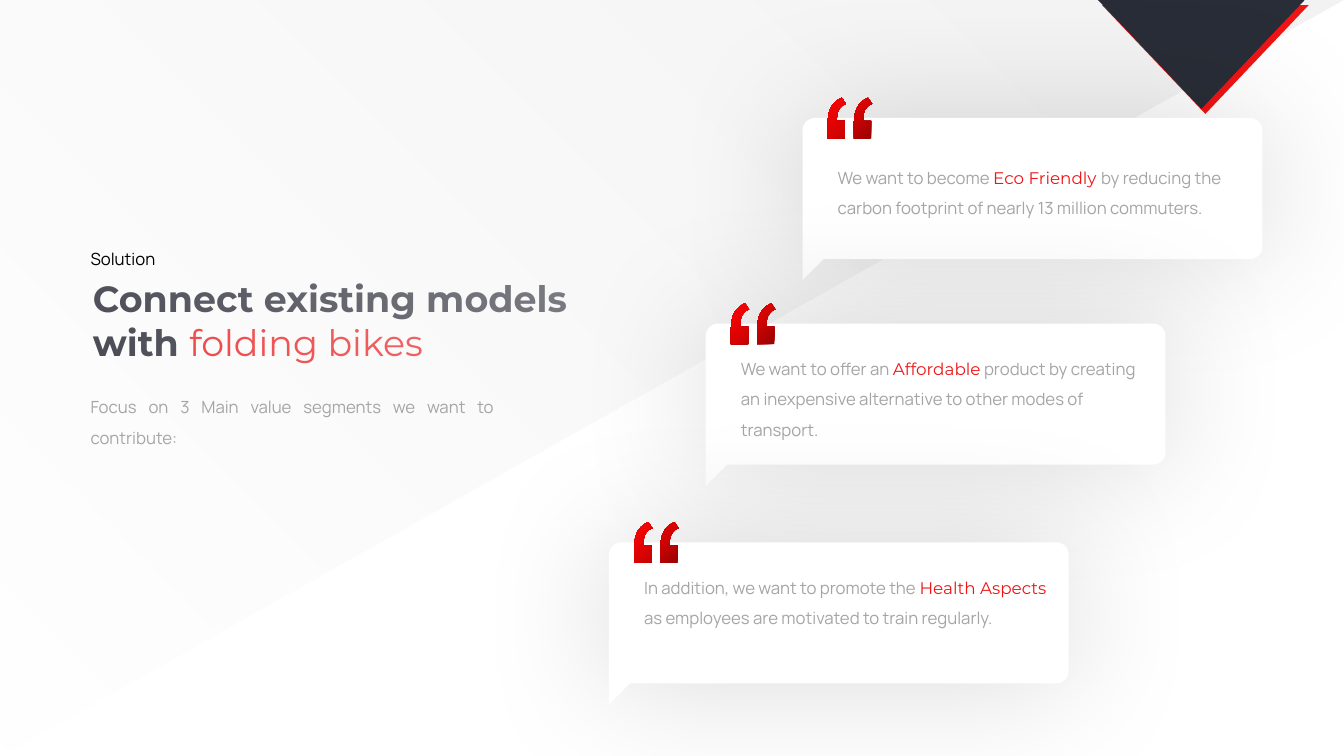
import math

from lxml import etree
from pptx import Presentation
from pptx import util as u
from pptx.dml import color
from pptx.enum import shapes, text
from pptx.oxml import ns

# The page is a grid of 1333 columns by 750 rows.
CELL = u.Inches(0.01)
COLUMNS, ROWS = 1333, 750
RED, NAVY, GREY, WHITE = "F01414", "1F202D", "A5A5A5", "FFFFFF"
BODY_FONT, ACCENT_FONT = "Manrope", "Montserrat"

BUBBLE_WIDTH, BUBBLE_HEIGHT, BUBBLE_STEP = 456, 140, 96
TAIL, CORNER, INSET = 21, 12.5, 25
QUOTE_RISE, QUOTE_GAP = 20, 26
QUOTES = [
    (117, text.MSO_ANCHOR.MIDDLE, "We want to become ", "Eco Friendly ",
     "by reducing the carbon footprint of nearly 13 million commuters."),
    (321, text.MSO_ANCHOR.TOP, "We want to offer an ", "Affordable",
     " product by creating an inexpensive alternative to other modes of transport."),
    (538, text.MSO_ANCHOR.TOP, "In addition, we want to promote the ", "Health Aspects ",
     "as employees are motivated to train regularly."),
]


def rgb(value):
    return color.RGBColor.from_string(value)


def add_element(parent, tag, **attributes):
    element = etree.SubElement(parent, ns.qn(tag))
    for name, value in attributes.items():
        element.set(name, str(value))
    return element


def paint(shape, fill):
    shape.shadow.inherit = False
    shape.line.fill.background()
    shape.fill.solid()
    shape.fill.fore_color.rgb = rgb(fill)


def paint_gradient(shape, stops, angle):
    """Fill with stops of (percent, colour, opacity percent)."""
    paint(shape, stops[0][1])
    properties = shape._element.spPr
    solid = properties.find(ns.qn("a:solidFill"))
    gradient = etree.Element(ns.qn("a:gradFill"), rotWithShape="1")
    properties.replace(solid, gradient)
    stop_list = add_element(gradient, "a:gsLst")
    for position, tone, opacity in stops:
        stop = add_element(stop_list, "a:gs", pos=position * 1000)
        tone = add_element(stop, "a:srgbClr", val=tone)
        if opacity < 100:
            add_element(tone, "a:alpha", val=opacity * 1000)
    add_element(gradient, "a:lin", ang=angle * 60000, scaled=0)


def add_soft_shadow(shape, blur, opacity):
    effects = shape._element.spPr.find(ns.qn("a:effectLst"))
    shadow = add_element(effects, "a:outerShdw", blurRad=u.Pt(blur), dist=0, dir=0,
                         algn="ctr", rotWithShape=0)
    tone = add_element(shadow, "a:srgbClr", val="000000")
    add_element(tone, "a:alpha", val=opacity * 1000)


def add_outline(page, *contours):
    builder = None
    for contour in contours:
        first, *rest = [(x * CELL, y * CELL) for x, y in contour]
        if builder is None:
            builder = page.shapes.build_freeform(*first)
        else:
            builder.move_to(*first)
        builder.add_line_segments(rest, close=True)
    return builder.convert_to_shape()


def curve(*controls, steps=8):
    """Return points along a cubic curve, both ends included."""
    weights = (1, 3, 3, 1)
    points = []
    for step in range(steps + 1):
        t = step / steps
        shares = [w * t ** i * (1 - t) ** (3 - i) for i, w in enumerate(weights)]
        points.append(tuple(sum(s * c[axis] for s, c in zip(shares, controls))
                            for axis in (0, 1)))
    return points


def corner(x, y, start):
    """Return a rounded corner about (x, y), clockwise from start degrees."""
    angles = [math.radians(start + 90 * step / 8) for step in range(9)]
    return [(x + CORNER * math.cos(a), y + CORNER * math.sin(a)) for a in angles]


def add_bubble(page, left, top):
    right, bottom = left + BUBBLE_WIDTH, top + BUBBLE_HEIGHT
    bubble = add_outline(page, [
        *corner(left + CORNER, top + CORNER, 180),
        *corner(right - CORNER, top + CORNER, 270),
        *corner(right - CORNER, bottom - CORNER, 0),
        (left + TAIL, bottom), (left, bottom + TAIL),
    ])
    paint(bubble, WHITE)
    add_soft_shadow(bubble, blur=100, opacity=15)


def add_quote_mark(page, left, top):
    stroke = [
        *curve((18, 6), (15, 7), (13, 9), (11, 12)),
        *curve((11, 12), (10, 14), (9, 18), (9, 23)),
        (17, 23), (17, 40.5), (0, 40.5),
        *curve((0, 27), (0, 19), (1, 14), (3, 10)),
        *curve((3, 10), (5, 6), (9, 2), (14, 0)),
    ]
    mark = add_outline(page, *([(left + shift + x, top + y) for x, y in stroke]
                               for shift in (QUOTE_GAP, 0)))
    paint_gradient(mark, [(0, "980202", 100), (50, "D80303", 100), (100, "FF0505", 100)], 225)


def place(box, left, top, width, height):
    box.left, box.top = left * CELL, top * CELL
    box.width, box.height = width * CELL, height * CELL


def write(box, spans, size, spacing=1.0, align=text.PP_ALIGN.LEFT,
          anchor=text.MSO_ANCHOR.TOP):
    """Fill a box with one paragraph of (words, font, colour, bold) spans."""
    frame = box.text_frame
    frame.word_wrap = True
    frame.auto_size = text.MSO_AUTO_SIZE.NONE
    frame.vertical_anchor = anchor
    para = frame.paragraphs[0]
    para.alignment, para.line_spacing = align, spacing
    para.font.size = u.Pt(size)
    for words, font, tone, bold in spans:
        span = para.add_run()
        span.text = words
        span.font.name, span.font.bold = font, bold
        span.font.color.rgb = rgb(tone)


def add_text(page, area, spans, **style):
    box = page.shapes.add_textbox(0, 0, 0, 0)
    place(box, *area)
    write(box, spans, size=12, spacing=1.5, **style)


def add_backdrop(page):
    wedge = page.shapes.add_shape(shapes.MSO_SHAPE.RIGHT_TRIANGLE, 0, 0,
                                  COLUMNS * CELL, ROWS * CELL)
    wedge.rotation = 180
    wedge._element.spPr.xfrm.set("flipH", "1")
    paint_gradient(wedge, [(0, "F2F2F2", 0), (100, "F2F2F2", 90)], 45)
    for left, top, tone in ((1093, 5, RED), (1089, 0, "282D37")):
        point = add_outline(page, [(left, top), (left + 205, top), (left + 102.5, top + 108)])
        paint(point, tone)


def add_heading(page):
    title = page.shapes.title
    place(title, 82, 269, 548, 104)
    write(title, [("Connect existing models with ", ACCENT_FONT, NAVY, True),
                  ("folding bikes", ACCENT_FONT, RED, False)], size=26)
    add_text(page, (80, 232, 362, 38), [("Solution", BODY_FONT, "000000", False)])
    add_text(page, (80, 379, 420, 98),
             [("Focus on 3 Main value segments we want to contribute:", BODY_FONT, GREY, False)],
             align=text.PP_ALIGN.JUSTIFY)


def main():
    deck = Presentation()
    deck.slide_width, deck.slide_height = COLUMNS * CELL, ROWS * CELL
    page = deck.slides.add_slide(deck.slide_layouts.get_by_name("Title Only"))
    add_backdrop(page)
    add_heading(page)
    for index, (top, anchor, before, accent, after) in enumerate(QUOTES):
        left = 796 - index * BUBBLE_STEP
        add_bubble(page, left, top)
        add_quote_mark(page, left + INSET, top - QUOTE_RISE)
        add_text(page, (left + INSET, top + QUOTE_RISE, 419, 98),
                 [(before, BODY_FONT, GREY, False), (accent, ACCENT_FONT, RED, False),
                  (after, BODY_FONT, GREY, False)], anchor=anchor)
    deck.save("out.pptx")


if __name__ == "__main__":
    main()
